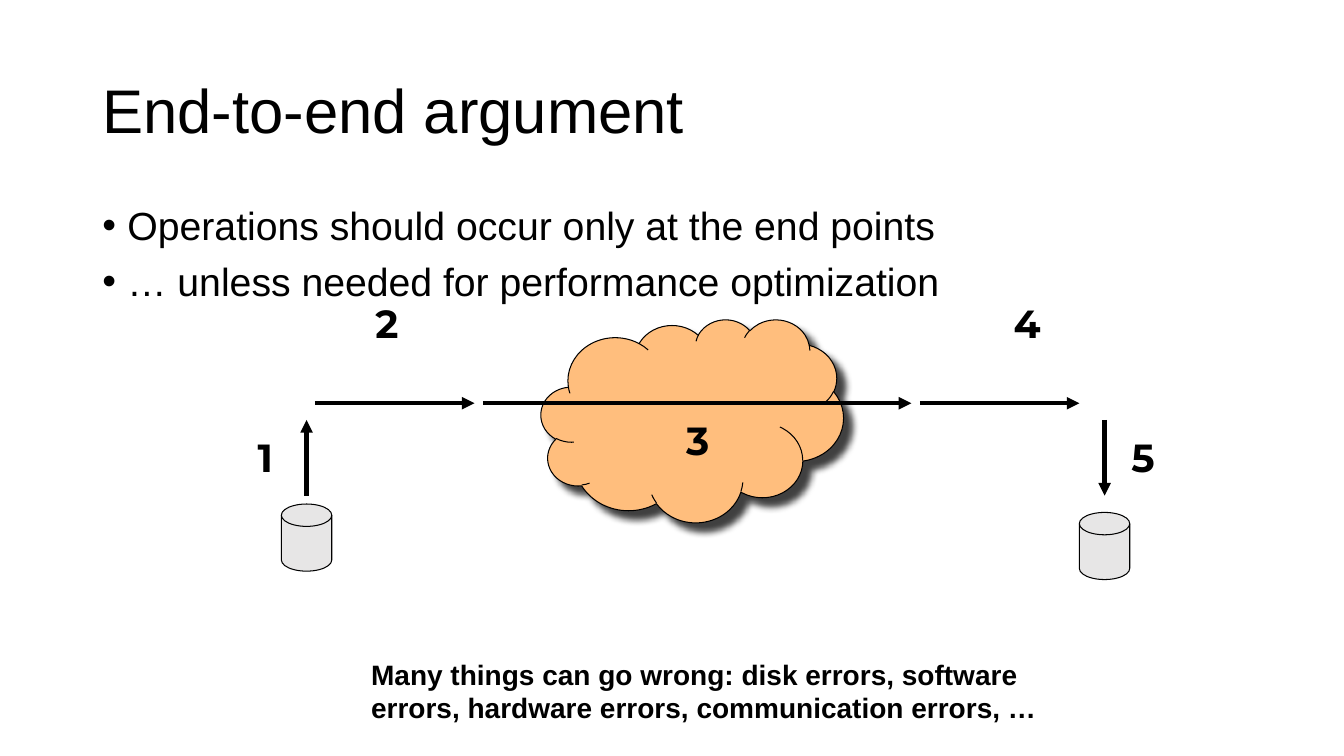
from lxml import etree
from pptx import Presentation
from pptx.dml.color import RGBColor
from pptx.enum.shapes import MSO_CONNECTOR, MSO_SHAPE
from pptx.enum.text import MSO_ANCHOR, MSO_AUTO_SIZE
from pptx.oxml import parse_xml
from pptx.oxml.ns import nsdecls, qn
from pptx.util import Pt

LINE = MSO_CONNECTOR.STRAIGHT
CLOUD = MSO_SHAPE.CLOUD
DISK = MSO_SHAPE.FLOWCHART_MAGNETIC_DISK
TOP, MIDDLE = MSO_ANCHOR.TOP, MSO_ANCHOR.MIDDLE
GROW = MSO_AUTO_SIZE.SHAPE_TO_FIT_TEXT

COLORS = {"ink": "000000", "cloud": "FFBE7D", "disk": "E7E6E6"}
FONTS = {
    "title": {"name": "Arial", "size": Pt(44)},
    "body": {"name": "Arial", "size": Pt(28)},
    "step": {"name": "Montserrat", "size": Pt(28), "bold": True},
    "note": {"name": "Arial", "size": Pt(20), "bold": True},
}


def color(key):
    return RGBColor.from_string(COLORS[key])


def style(font, kind):
    for name, value in FONTS[kind].items():
        setattr(font, name, value)
    font.color.rgb = color("ink")


def add_text(slide, box, lines, kind, wrap=True, anchor=TOP, grow=False):
    frame = slide.shapes.add_textbox(*map(Pt, box)).text_frame
    frame.word_wrap = wrap
    frame.vertical_anchor = anchor
    if grow:
        frame.auto_size = GROW
    frame.text = "\n".join(lines)
    for para in frame.paragraphs:
        for run in para.runs:
            style(run.font, kind)
    return frame


def add_solid(slide, preset, box, fill):
    shape = slide.shapes.add_shape(preset, *map(Pt, box))
    shape.shadow.inherit = False
    shape.fill.solid()
    shape.fill.fore_color.rgb = color(fill)
    shape.line.color.rgb = color("ink")
    shape.line.width = Pt(0.75)
    return shape


def add_arrow(slide, start, end):
    arrow = slide.shapes.add_connector(LINE, *map(Pt, start + end))
    arrow.line.color.rgb = color("ink")
    arrow.line.width = Pt(3)
    etree.SubElement(arrow.line._get_or_add_ln(), qn("a:tailEnd"), type="triangle")
    etree.SubElement(arrow._element.spPr, qn("a:effectLst"))


def add_title(slide, box, text):
    frame = add_text(slide, box, [text], "title", anchor=MIDDLE)
    frame.paragraphs[0].line_spacing = 0.9


def add_list(slide, box, lines):
    frame = add_text(slide, box, lines, "body")
    for i, para in enumerate(frame.paragraphs):
        props = para._p.get_or_add_pPr()
        props.set("marL", str(Pt(18)))
        props.set("indent", str(Pt(-18)))
        etree.SubElement(props, qn("a:buFont"), typeface="Arial")
        etree.SubElement(props, qn("a:buChar"), char="•")
        para.line_spacing = 0.9
        para.space_before = Pt(10 if i else 0)


def add_cloud(slide, box):
    cloud = add_solid(slide, CLOUD, box, "cloud")
    effects = cloud._element.spPr.find(qn("a:effectLst"))
    effects.append(parse_xml(
        f'<a:outerShdw {nsdecls("a")} blurRad="{Pt(5)}" dist="{Pt(8.5)}" '
        f'dir="2700000" algn="ctr" rotWithShape="0">'
        f'<a:srgbClr val="{COLORS["ink"]}"><a:alpha val="75000"/></a:srgbClr>'
        f'</a:outerShdw>'))


def add_flow(slide, box):
    x, y, w, h = box
    add_cloud(slide, (x + 209.5, y + 18, 216, 145))

    # Disks at both ends
    for left, top in ((24, 150), (w - 36 - 18, 156)):
        add_solid(slide, DISK, (x + left, y + top, 36, 48), "disk")

    # Numbered steps: start, end, label corner
    steps = {
        "2": ((48, 78), (162, 78), (84, 0)),
        "4": ((480, 78), (594, 78), (540, 0)),
        "5": ((612, 90), (612, 144), (624, 96)),
        "3": ((168, 78), (474, 78), (306, 84)),
        "1": ((42, 144), (42, 90), (0, 96)),
    }
    for label, ends in steps.items():
        start, end, corner = [(x + dx, y + dy) for dx, dy in ends]
        add_arrow(slide, start, end)
        add_text(slide, corner + (33, 41), [label], "step", wrap=False, grow=True)


def main():
    deck = Presentation()
    deck.slide_width, deck.slide_height = Pt(960), Pt(540)
    slide = deck.slides.add_slide(deck.slide_layouts[6])

    add_title(slide, (66, 28.75, 828, 104.4), "End-to-end argument")
    add_list(slide, (66, 143.75, 828, 342.6), [
        "Operations should occur only at the end points",
        "… unless needed for performance optimization",
    ])
    add_flow(slide, (177, 210, 648, 204))
    add_text(slide, (258, 466, 504, 55.5), [
        "Many things can go wrong: disk errors, software errors, "
        "hardware errors, communication errors, …"], "note", grow=True)
    deck.save("out.pptx")


if __name__ == "__main__":
    main()
